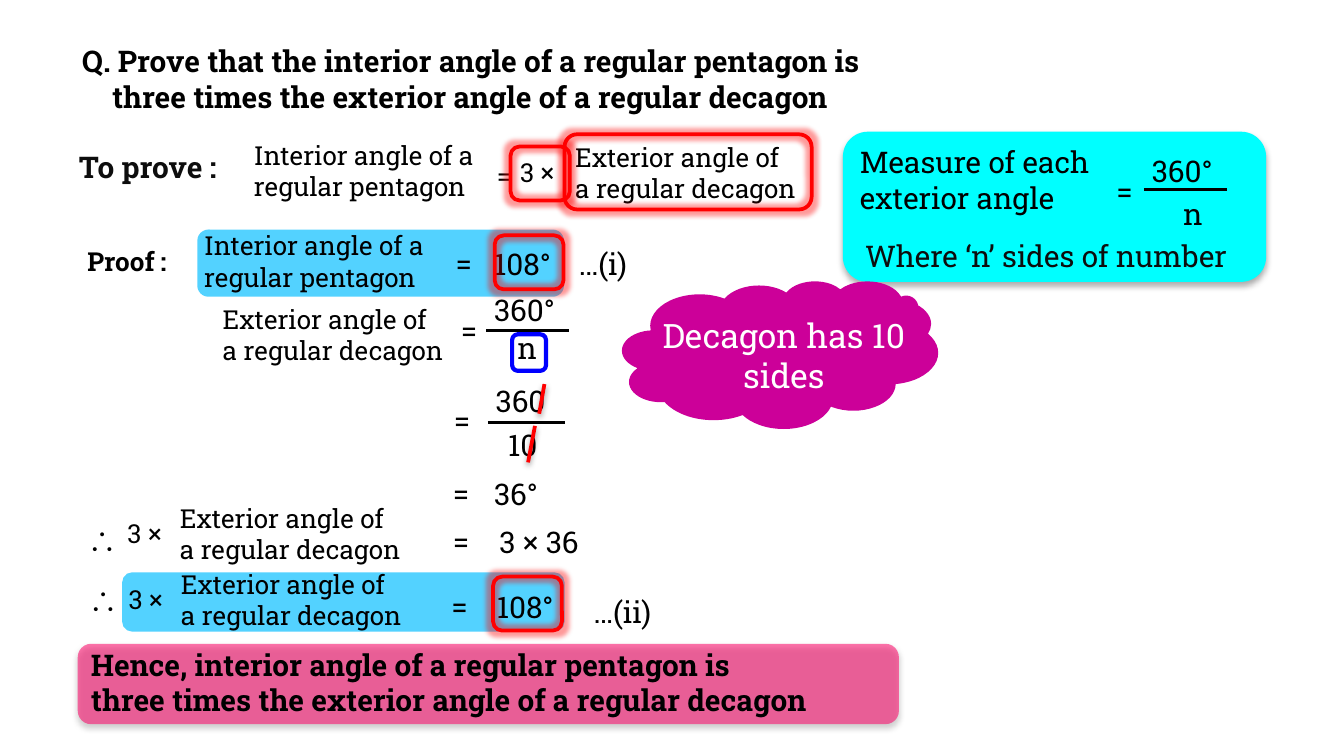
from lxml import etree
from pptx import Presentation
from pptx.dml.color import RGBColor
from pptx.enum.shapes import MSO_CONNECTOR as CONNECTOR, MSO_SHAPE as SHAPE
from pptx.enum.text import PP_ALIGN as ALIGN
from pptx.oxml.ns import qn
from pptx.util import Cm, Pt

BLACK = RGBColor(0x00, 0x00, 0x00)
SOFT_BLACK = RGBColor(0x0D, 0x0D, 0x0D)
WHITE = RGBColor(0xFF, 0xFF, 0xFF)
RED = RGBColor(0xFF, 0x00, 0x00)
BLUE = RGBColor(0x00, 0x00, 0xFF)
SKY = RGBColor(0x53, 0xD2, 0xFF)
CYAN = RGBColor(0x00, 0xFF, 0xFF)
PINK = RGBColor(0xFF, 0x00, 0x66)
MAGENTA = RGBColor(0xCC, 0x00, 0x99)

INTERIOR = "Interior angle of a regular pentagon"
EXTERIOR = "Exterior angle of\na regular decagon"


def add_effect(shape, kind, color, alpha, **sizes):
    """Put one glow or outer shadow on a shape or connector."""
    properties = shape._element.spPr
    effects = properties.find(qn("a:effectLst"))
    if effects is None:
        effects = etree.SubElement(properties, qn("a:effectLst"))
    effect = etree.SubElement(effects, qn(f"a:{kind}"))
    for name, value in sizes.items():
        effect.set(name, str(int(value)))
    tint = etree.SubElement(effect, qn("a:srgbClr"), val=str(color))
    etree.SubElement(tint, qn("a:alpha"), val=str(alpha * 1000))


def add_shadow(shape, alpha, blur, distance):
    add_effect(shape, "outerShdw", BLACK, alpha, blurRad=Pt(blur),
               dist=Pt(distance), dir=90 * 60000, rotWithShape=0)


def add_panel(slide, left, top, width, height, color, kind=SHAPE.ROUNDED_RECTANGLE):
    panel = slide.shapes.add_shape(kind, Cm(left), Cm(top), Cm(width), Cm(height))
    panel.shadow.inherit = False
    panel.fill.solid()
    panel.fill.fore_color.rgb = color
    panel.line.fill.background()
    return panel


def add_frame(slide, left, top, width, height, color=RED, weight=2):
    frame = slide.shapes.add_shape(SHAPE.ROUNDED_RECTANGLE,
                                   Cm(left), Cm(top), Cm(width), Cm(height))
    frame.shadow.inherit = False
    frame.fill.background()
    frame.line.color.rgb = color
    frame.line.width = Pt(weight)
    if color == RED:
        add_effect(frame, "glow", RED, 40, rad=Pt(5))


def add_rule(slide, start, end, color=BLACK, weight=1.5):
    rule = slide.shapes.add_connector(CONNECTOR.STRAIGHT, *map(Cm, start + end))
    rule.line.color.rgb = color
    rule.line.width = Pt(weight)
    etree.SubElement(rule._element.spPr, qn("a:effectLst"))
    return rule


def add_label(slide, text, left, top, width, size=16, color=BLACK, bold=False,
              font="Roboto Slab", align=ALIGN.LEFT, rows=None, hanging=0):
    lines = text.split("\n")
    height = 0.25 + 0.043 * size * (rows or len(lines))
    box = slide.shapes.add_textbox(Cm(left), Cm(top), Cm(width), Cm(height))
    box.text_frame.word_wrap = True
    box.text_frame.text = text
    style = {"name": font, "size": Pt(size), "bold": bold}
    for number, paragraph in enumerate(box.text_frame.paragraphs):
        paragraph.alignment = align
        if number and hanging:
            paragraph._p.get_or_add_pPr().set("marL", str(Cm(hanging)))
        for run in paragraph.runs:
            for name, value in style.items():
                setattr(run.font, name, value)
            run.font.color.rgb = color


def add_fraction(slide, numerator, denominator, bar, rise, below):
    """bar and below are (left, top, width) of the bar and the denominator."""
    left, top, width = bar
    add_label(slide, numerator, left - 0.1, top - rise, 1.8)
    add_rule(slide, (left, top), (left + width, top))
    add_label(slide, denominator, *below, align=ALIGN.CENTER)


def add_statement(slide):
    add_label(slide, "Q. Prove that the interior angle of a regular pentagon is\n"
              "three times the exterior angle of a regular decagon",
              1.3, 0.69, 19.53, bold=True, hanging=0.57)
    add_label(slide, "To prove :", 1.24, 2.69, 4.04, color=SOFT_BLACK, bold=True)
    add_label(slide, INTERIOR, 4.55, 2.51, 5.33, size=14, rows=2)
    add_label(slide, "=", 9.14, 2.9, 0.86, size=14)
    add_label(slide, "3 ×", 9.58, 2.84, 1.55, size=14)
    add_label(slide, EXTERIOR, 10.62, 2.54, 5.33, size=14)
    add_frame(slide, 10.67, 2.54, 4.67, 1.42)
    add_frame(slide, 9.65, 2.77, 1.12, 1.02)


def add_formula(slide):
    panel = add_panel(slide, 15.93, 2.49, 8, 2.84, CYAN)
    add_shadow(panel, 32, 3.5, 2.2)
    add_label(slide, "Measure of each exterior angle", 16, 2.59, 5.36, rows=2)
    add_label(slide, "=", 20.85, 3.15, 0.86)
    add_fraction(slide, "360°", "n", (21.62, 3.58, 1.57), 0.81, (21.72, 3.58, 1.65))
    add_label(slide, "Where ‘n’ sides of number", 16.1, 4.37, 8.23, color=SOFT_BLACK)


def add_proof(slide):
    # Highlights behind the two results
    add_panel(slide, 3.73, 4.34, 6.93, 1.27, SKY)
    add_panel(slide, 2.31, 10.82, 8.36, 1.12, SKY)

    # Result (i)
    add_label(slide, "Proof :", 1.4, 4.52, 2.57, size=14, bold=True)
    add_label(slide, INTERIOR, 3.61, 4.22, 5.59, size=14, rows=2)
    add_label(slide, "108°", 9.09, 4.52, 1.8)
    add_label(slide, "…(i)", 10.69, 4.52, 1.6)

    # Exterior angle of the decagon
    add_label(slide, EXTERIOR, 3.96, 5.61, 5.54, size=14)
    add_fraction(slide, "360°", "n", (9.19, 6.25, 1.57), 0.87, (9.14, 6.1, 1.65))
    add_frame(slide, 9.68, 6.32, 0.64, 0.69, BLUE, 2.25)
    add_fraction(slide, "360", "10", (9.22, 7.98, 1.45), 0.87, (9.22, 7.95, 1.32))
    for start, end in (((10.11, 8.05), (9.98, 8.74)), ((10.29, 7.26), (10.19, 7.82))):
        strike = add_rule(slide, start, end, RED, 2)
        add_shadow(strike, 38, 3.1, 1.6)
    add_label(slide, "36°", 9.09, 8.86, 1.45)

    # Three times the exterior angle, then result (ii)
    for left, top, sign_top in ((2.16, 9.37, 9.73), (2.18, 10.62, 10.87)):
        add_label(slide, "∴", left - 0.76, sign_top, 0.99, font="Arial")
        add_label(slide, "3 ×", left, top + 0.29, 1.55, size=14)
        add_label(slide, EXTERIOR, left + 0.99, top, 5.54, size=14)
    add_label(slide, "3 × 36", 9.19, 9.78, 2.26)
    add_label(slide, "108°", 9.14, 11, 1.8)
    add_label(slide, "…(ii)", 10.97, 11.1, 1.75)

    # Equals signs and frames round the matching results
    for left, top in ((8.36, 4.52), (8.46, 5.79), (8.33, 7.49),
                      (8.31, 8.86), (8.31, 9.78), (8.28, 11)):
        add_label(slide, "=", left, top, 0.86)
    for left, top in ((9.35, 4.45), (9.32, 10.9)):
        add_frame(slide, left, top, 1.3, 1.02)


def add_hint(slide):
    cloud = add_panel(slide, 11.76, 5.31, 5.97, 2.79, MAGENTA, SHAPE.CLOUD_CALLOUT)
    cloud.adjustments[0], cloud.adjustments[1] = 0.39, -0.31
    add_label(slide, "Decagon has 10 sides", 11.73, 5.82, 6.17, size=18,
              color=WHITE, align=ALIGN.CENTER, rows=2)


def add_conclusion(slide):
    panel = add_panel(slide, 1.47, 12.17, 15.52, 1.52, PINK)
    tint = panel._element.spPr.find(qn("a:solidFill"))[0]
    etree.SubElement(tint, qn("a:alpha"), val="54000")
    add_shadow(panel, 35, 3.1, 1.8)
    add_label(slide, "Hence, interior angle of a regular pentagon is\n"
              "three times the exterior angle of a regular decagon",
              1.47, 12.09, 15.67, bold=True)


def main():
    deck = Presentation()
    deck.slide_width, deck.slide_height = Cm(25.4), Cm(14.29)
    slide = deck.slides.add_slide(deck.slide_layouts[6])
    add_statement(slide)
    add_formula(slide)
    add_proof(slide)
    add_hint(slide)
    add_conclusion(slide)
    deck.save("out.pptx")


if __name__ == "__main__":
    main()
